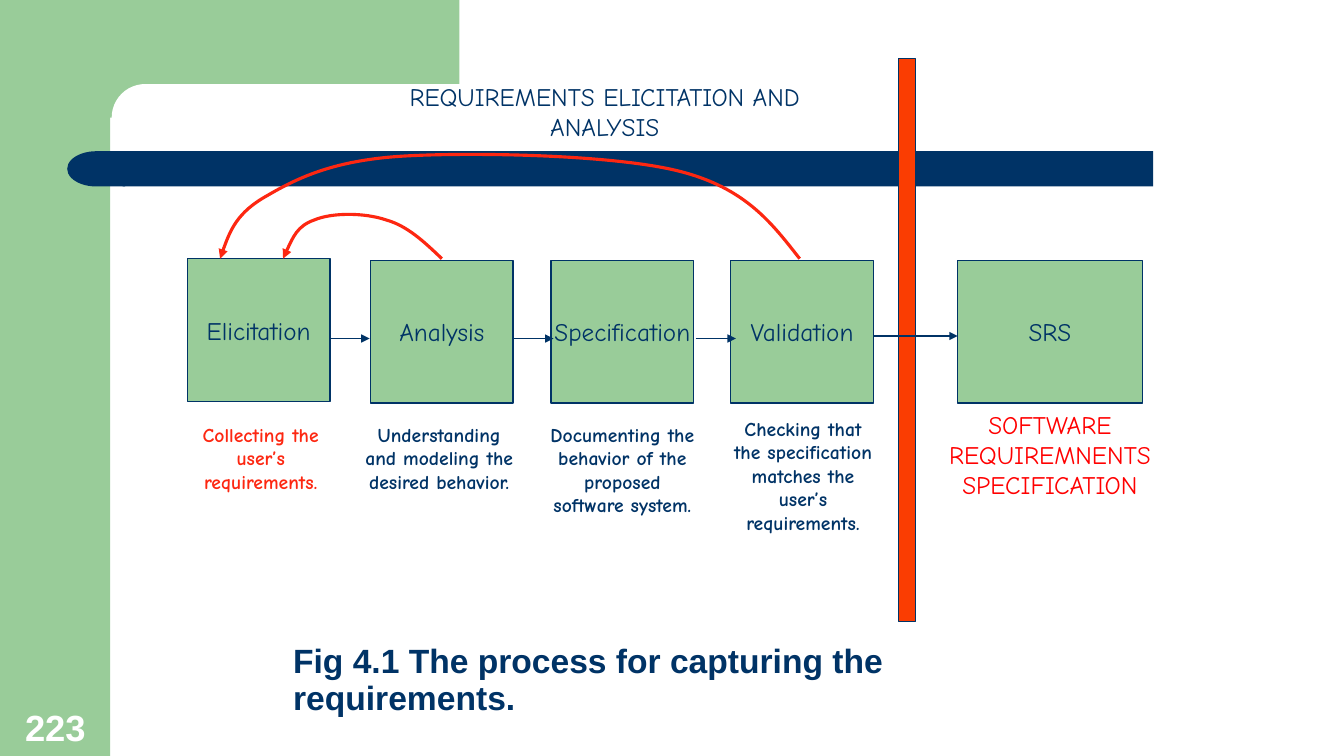
from dataclasses import dataclass
from typing import Any, NamedTuple

from lxml.etree import SubElement
from pptx import Presentation
from pptx.dml.color import RGBColor
from pptx.enum.shapes import MSO_CONNECTOR, MSO_SHAPE
from pptx.enum.text import MSO_ANCHOR, MSO_AUTO_SIZE, PP_ALIGN
from pptx.oxml.ns import qn
from pptx.slide import Slide
from pptx.util import Emu, Inches, Pt

COLUMNS, ROWS = 160, 90
CELL = Inches(7.5) / ROWS


@dataclass(frozen=True)
class Theme:
    green: str = "99CC99"
    navy: str = "003366"
    white: str = "FFFFFF"
    divider: str = "FA3D02"
    feedback: str = "FD2711"
    red: str = "FF0000"
    formal: str = "Arial"
    casual: str = "Comic Neue"
    number_size: int = 26
    title_size: int = 24
    label_size: int = 18
    caption_size: int = 14
    thin: float = 1
    thick: float = 2.25


THEME = Theme()


class Area(NamedTuple):
    column: float
    row: float
    columns: float
    rows: float


class Block(NamedTuple):
    kind: MSO_SHAPE
    area: Area
    fill: str
    outlined: bool = False
    rotation: float = 0


class Stage(NamedTuple):
    label: str
    area: Area


class Note(NamedTuple):
    text: str
    area: Area
    color: str = THEME.navy
    size: int = THEME.caption_size
    bold: bool = True


class Arrow(NamedTuple):
    start: float
    end: float
    row: float


BLOCKS = [
    Block(MSO_SHAPE.RECTANGLE, Area(0, 0, 13.1, ROWS), THEME.green),
    Block(MSO_SHAPE.RECTANGLE, Area(11.8, 0, 42.9, 14), THEME.green),
    Block(MSO_SHAPE.ROUNDED_RECTANGLE, Area(13.3, 10, 89.3, 8), THEME.white),
    Block(MSO_SHAPE.RECTANGLE, Area(14.6, 18, 122.7, 4.2), THEME.navy),
    Block(MSO_SHAPE.FLOWCHART_DELAY, Area(8, 18, 6.9, 4.2), THEME.navy, rotation=180),
    Block(MSO_SHAPE.RECTANGLE, Area(107, 7, 2, 67), THEME.divider, outlined=True),
]
STAGES = [
    Stage("Elicitation", Area(22.3, 30.8, 17, 17)),
    Stage("Analysis", Area(44.1, 31, 17, 17)),
    Stage("Specification", Area(65.6, 31, 17, 17)),
    Stage("Validation", Area(87, 31, 17, 17)),
    Stage("SRS", Area(114, 31, 22, 17)),
]
NOTES = [
    Note("Collecting the user’s requirements.", Area(22.3, 49.7, 17.5, 9.7), THEME.feedback),
    Note("Understanding and modeling the desired behavior.", Area(42.2, 49.7, 20.2, 12.5)),
    Note("Documenting the behavior of the proposed software system.", Area(64, 49.7, 20.2, 15.4)),
    Note("Checking that the specification matches the user’s requirements.", Area(85.7, 49, 19.8, 18.1)),
    Note("REQUIREMENTS ELICITATION AND ANALYSIS", Area(44, 9.1, 56, 8.4),
         size=THEME.label_size, bold=False),
    Note("SOFTWARE REQUIREMNENTS SPECIFICATION", Area(110, 48.1, 30, 12),
         THEME.red, THEME.label_size, False),
]
ARROWS = [Arrow(39.3, 44, 40.3), Arrow(61.1, 65.9, 40.3), Arrow(82.8, 87.6, 40.3), Arrow(104, 114, 40)]
FEEDBACK_CURVES = [
    [(52.6, 30.8), (50.5, 28.8), (48.5, 26.9), (46, 26.2), (43.4, 25.3), (39.5, 25.3),
     (37.4, 26.2), (35.4, 26.9), (34.6, 28.8), (33.7, 30.8)],
    [(95.2, 30.8), (91.9, 26.6), (88.8, 22.4), (80.9, 20.4), (73.1, 18.4), (56, 18.1),
     (47.9, 18.6), (39.7, 19.1), (35.4, 21.2), (31.8, 23.3), (28.2, 25.3), (27.1, 28.1), (26.2, 30.8)],
]


def grid(count: float) -> Emu:
    return Emu(round(count * CELL))


def place(area: Area) -> list[Emu]:
    return [grid(value) for value in area]


def apply(target: Any, values: dict[str, Any]) -> None:
    for name, value in values.items():
        setattr(target, name, value)


def write(box: Any, text: str, font: dict[str, Any], color: str,
          frame: dict[str, Any], paragraph: dict[str, Any]) -> None:
    apply(box.text_frame, frame)
    para = box.text_frame.paragraphs[0]
    apply(para, paragraph)
    span = para.add_run()
    span.text = text
    apply(span.font, font)
    span.font.color.rgb = RGBColor.from_string(color)


def stroke(line: Any, color: str, width: float) -> None:
    line.color.rgb = RGBColor.from_string(color)
    line.width = Pt(width)


def add_arrowhead(line: Any) -> None:
    SubElement(line._get_or_add_ln(), qn("a:tailEnd"), type="triangle")


def add_block(page: Slide, block: Block) -> Any:
    shape = page.shapes.add_shape(block.kind, *place(block.area))
    shape.shadow.inherit = False
    shape.rotation = block.rotation
    shape.fill.solid()
    shape.fill.fore_color.rgb = RGBColor.from_string(block.fill)
    if block.kind == MSO_SHAPE.ROUNDED_RECTANGLE:
        shape.adjustments[0] = 0.5
    if block.outlined:
        stroke(shape.line, THEME.navy, THEME.thin)
    else:
        shape.line.fill.background()
    return shape


def add_stage(page: Slide, stage: Stage) -> None:
    box = add_block(page, Block(MSO_SHAPE.RECTANGLE, stage.area, THEME.green, outlined=True))
    write(box, stage.label, {"name": THEME.casual, "size": Pt(THEME.label_size)}, THEME.navy,
          {"word_wrap": False, "vertical_anchor": MSO_ANCHOR.MIDDLE}, {"alignment": PP_ALIGN.CENTER})


def add_note(page: Slide, note: Note) -> None:
    box = page.shapes.add_textbox(*place(note.area))
    write(box, note.text, {"name": THEME.casual, "size": Pt(note.size), "bold": note.bold}, note.color,
          {"word_wrap": True}, {"alignment": PP_ALIGN.CENTER})


def add_arrow(page: Slide, arrow: Arrow) -> None:
    row = grid(arrow.row)
    connector = page.shapes.add_connector(
        MSO_CONNECTOR.STRAIGHT, grid(arrow.start), row, grid(arrow.end), row)
    stroke(connector.line, THEME.navy, THEME.thin)
    add_arrowhead(connector.line)
    SubElement(connector._element.spPr, qn("a:effectLst"))


def add_curve(page: Slide, points: list[tuple[float, float]]) -> None:
    start, *rest = [(grid(column), grid(row)) for column, row in points]
    builder = page.shapes.build_freeform(*start)
    builder.add_line_segments(rest, close=False)
    shape = builder.convert_to_shape()
    segments = list(shape._element.iter(qn("a:lnTo")))
    outline = segments[0].getparent()
    for first in range(0, len(segments), 3):
        bezier = SubElement(outline, qn("a:cubicBezTo"))
        for segment in segments[first:first + 3]:
            bezier.append(segment[0])
            outline.remove(segment)
    shape.shadow.inherit = False
    shape.fill.background()
    stroke(shape.line, THEME.feedback, THEME.thick)
    add_arrowhead(shape.line)


def main() -> None:
    deck = Presentation()
    apply(deck, {"slide_width": grid(COLUMNS), "slide_height": grid(ROWS)})
    page = deck.slides.add_slide(deck.slide_layouts[5])
    for block in BLOCKS:
        add_block(page, block)
    for stage in STAGES:
        add_stage(page, stage)
    for note in NOTES:
        add_note(page, note)
    for arrow in ARROWS:
        add_arrow(page, arrow)
    for points in FEEDBACK_CURVES:
        add_curve(page, points)

    title = page.shapes.title
    apply(title, dict(zip(("left", "top", "width", "height"), place(Area(33.7, 78, 100.2, 8)))))
    bottom = {"word_wrap": True, "auto_size": MSO_AUTO_SIZE.NONE, "vertical_anchor": MSO_ANCHOR.BOTTOM}
    write(title, "Fig 4.1 The process for capturing the requirements.",
          {"name": THEME.formal, "size": Pt(THEME.title_size), "bold": True}, THEME.navy,
          bottom | {"margin_right": grid(4)}, {"alignment": PP_ALIGN.LEFT, "line_spacing": 0.9})
    number = page.shapes.add_textbox(*place(Area(1.8, 83.3, 10.3, 6.4)))
    write(number, "223", {"name": THEME.formal, "size": Pt(THEME.number_size), "bold": True},
          THEME.white, bottom, {"alignment": PP_ALIGN.LEFT})
    deck.save("out.pptx")


if __name__ == "__main__":
    main()
